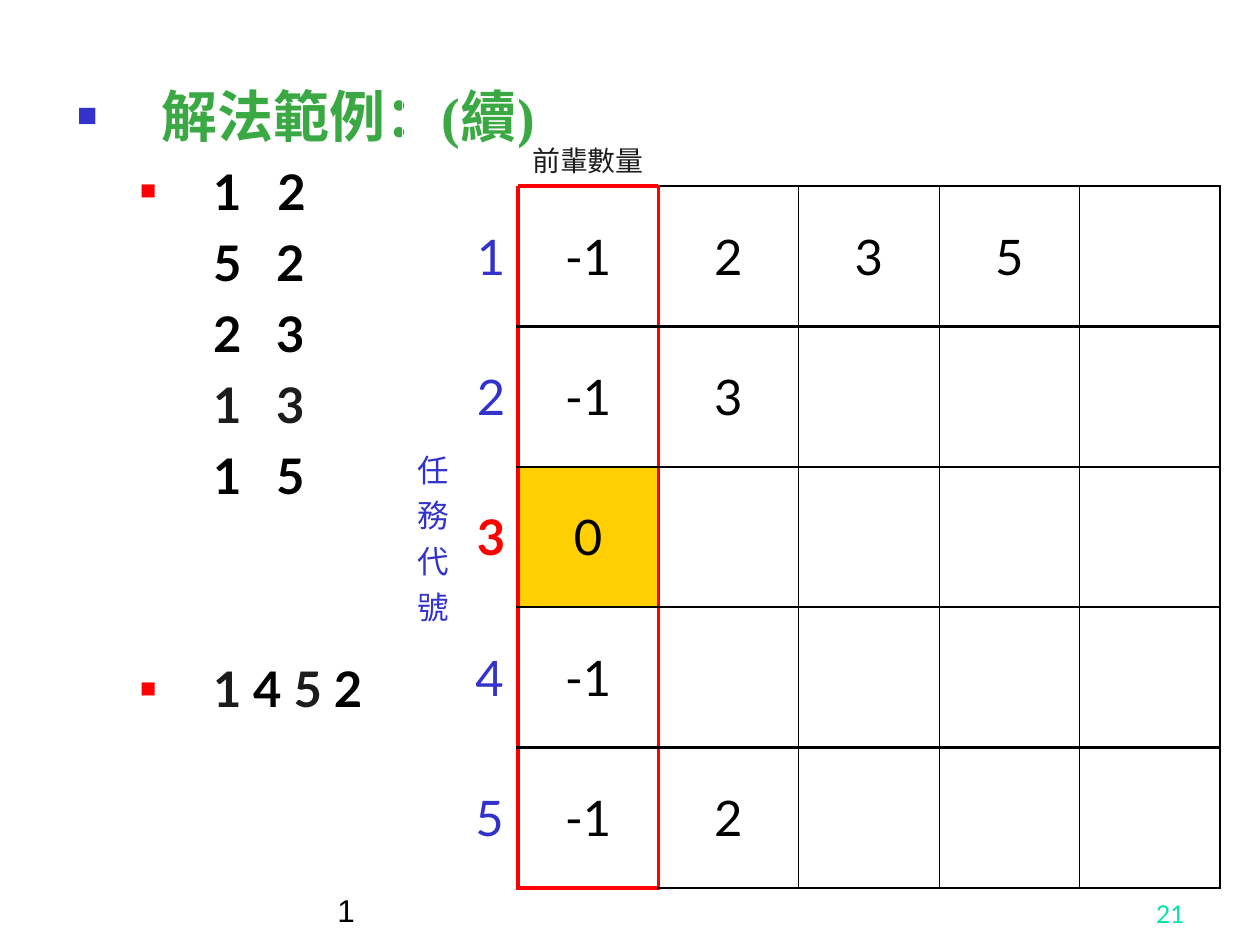
"""Build the slide that shows a task-ordering example with its predecessor table."""
from lxml import etree
from pptx import Presentation
from pptx.dml.color import RGBColor
from pptx.enum.text import MSO_ANCHOR, MSO_AUTO_SIZE, PP_ALIGN
from pptx.oxml.ns import qn
from pptx.util import Cm, Pt

LEFT, CENTER, RIGHT = PP_ALIGN.LEFT, PP_ALIGN.CENTER, PP_ALIGN.RIGHT
MIDDLE, BOTTOM = MSO_ANCHOR.MIDDLE, MSO_ANCHOR.BOTTOM
NO_AUTOSIZE = MSO_AUTO_SIZE.NONE

BLACK = RGBColor(0x00, 0x00, 0x00)
WHITE = RGBColor(0xFF, 0xFF, 0xFF)
DARK = RGBColor(0x1C, 0x1C, 0x1C)
RED = RGBColor(0xFF, 0x00, 0x00)
BLUE = RGBColor(0x33, 0x33, 0xCC)
GREEN = RGBColor(0x3B, 0xA9, 0x43)
GOLD = RGBColor(0xFF, 0xCF, 0x01)
MINT = RGBColor(0x00, 0xE4, 0xA8)

PAIRS = [("1\t2", BLACK), ("5\t2", BLACK), ("2\t3", BLACK), ("1\t3", DARK), ("1\t5", BLACK)]
ORDER = [("1", DARK), (" 4 ", BLACK), ("5 ", DARK), ("2", BLACK)]
TASKS = [["-1", "2", "3", "5"], ["-1", "3"], ["0"], ["-1"], ["-1", "2"]]
READY = 3
ROWS, COLS = 6, 7
CELL = Cm(2.83)


def add_text(p, text, size=28, font="Lato", color=BLACK, bold=False, align=None, before=None):
    """Append a formatted run to a paragraph."""
    r = p.add_run()
    r.text = text
    r.font.size, r.font.name, r.font.bold = Pt(size), font, bold
    r.font.color.rgb = color
    if align is not None:
        p.alignment = align
    if before is not None:
        p.space_before = Pt(before)


def format_list(p, margin, hang, bullet=None, percent=60, tab=None):
    """Set the indent, bullet and tab stop of a paragraph."""
    pPr = p._p.get_or_add_pPr()
    pPr.set("marL", str(margin))
    pPr.set("indent", str(-hang if bullet else 0))
    if bullet:
        color = etree.SubElement(pPr, qn("a:buClr"))
        etree.SubElement(color, qn("a:srgbClr"), val=str(bullet))
        etree.SubElement(pPr, qn("a:buSzPct"), val=str(percent * 1000))
        etree.SubElement(pPr, qn("a:buFont"), typeface="Arial")
        etree.SubElement(pPr, qn("a:buChar"), char="■")
    else:
        etree.SubElement(pPr, qn("a:buNone"))
    if tab:
        tabs = etree.SubElement(pPr, qn("a:tabLst"))
        etree.SubElement(tabs, qn("a:tab"), pos=str(tab), algn="l")


def fill_body(sp):
    """Write the heading, the task pairs and the resulting order."""
    sp.left, sp.top, sp.width, sp.height = Cm(1.3), Cm(1.52), Cm(22.8), Cm(16.2)
    tf = sp.text_frame
    tf.auto_size = NO_AUTOSIZE
    p = tf.paragraphs[0]
    format_list(p, Cm(1.7), Cm(1.7), BLUE)
    add_text(p, "解法範例：(續)", size=32, font="Times New Roman", color=GREEN, bold=True, before=0)
    for i, (pair, color) in enumerate(PAIRS):
        p = tf.add_paragraph()
        p.level = 1
        format_list(p, Cm(2.74), Cm(1.47), None if i else RED, 55, Cm(4.04))
        add_text(p, pair, color=color, bold=True, before=7)
    p = tf.add_paragraph()
    p.level = 1
    format_list(p, Cm(2.74), Cm(1.47), RED, 55)
    for text, color in ORDER:
        add_text(p, text, color=color, bold=True, before=88)


def vertical_edge(row, col):
    """Return colour and width of the line left of a column."""
    if row == 0 or col < 2:
        return WHITE, 0.34
    if col < 4:
        return (RED, 2.21) if col < 4 and col != 4 else (BLACK, 0.45)
    return BLACK, 1.08 if col == COLS else 0.45


def horizontal_edge(row, col):
    """Return colour and width of the line above a row."""
    if row == 0 or col < 2:
        return WHITE, 0.34
    if 1 < row < ROWS:
        return BLACK, 1.47
    return (RED, 2.21) if col == 2 else (BLACK, 1.08)


def set_borders(cell, row, col):
    """Draw the four borders of a cell."""
    tcPr = cell._tc.get_or_add_tcPr()
    edges = {
        "a:lnL": vertical_edge(row, col),
        "a:lnR": vertical_edge(row, col + 1),
        "a:lnT": horizontal_edge(row, col),
        "a:lnB": horizontal_edge(row + 1, col),
    }
    for i, (tag, (color, width)) in enumerate(edges.items()):
        ln = etree.Element(qn(tag), w=str(Pt(width)))
        fill = etree.SubElement(ln, qn("a:solidFill"))
        etree.SubElement(fill, qn("a:srgbClr"), val=str(color))
        tcPr.insert(i, ln)


def write_cell(cell, text, anchor=MIDDLE, **fmt):
    """Put one formatted line of text in a cell."""
    cell.vertical_anchor = anchor
    add_text(cell.text_frame.paragraphs[0], text, before=0, **fmt)


def add_task_table(slide):
    """Add the table of predecessor counts and successors."""
    widths = [Cm(1.19), Cm(1.14)] + [CELL] * 5
    table = slide.shapes.add_table(ROWS, COLS, Cm(8.11), Cm(0.92), sum(widths), CELL * ROWS).table
    table.first_row = table.horz_banding = False
    for column, width in zip(table.columns, widths):
        column.width = width
    for row in range(ROWS):
        table.rows[row].height = CELL
        for col in range(COLS):
            cell = table.cell(row, col)
            if row and col == 2:
                cell.fill.solid()
                cell.fill.fore_color.rgb = GOLD if row == READY else WHITE
            else:
                cell.fill.background()
            set_borders(cell, row, col)
    table.cell(0, 4).merge(table.cell(0, 6))
    table.cell(1, 0).merge(table.cell(5, 0))
    write_cell(table.cell(0, 2), "前輩數量", BOTTOM, size=16, color=DARK, align=CENTER)
    write_cell(table.cell(1, 0), "任務代號", size=18, color=BLUE, align=RIGHT)
    for task, values in enumerate(TASKS, 1):
        ready = task == READY
        write_cell(table.cell(task, 1), str(task), color=RED if ready else BLUE, bold=ready,
                   align=RIGHT if task < 4 else CENTER)
        for col, value in enumerate(values, 2):
            write_cell(table.cell(task, col), value, align=CENTER)


def add_footer(slide, text, left, width, **fmt):
    """Add a text box at the foot of the slide."""
    tf = slide.shapes.add_textbox(left, Cm(17.58), width, Cm(1.27)).text_frame
    tf.word_wrap = True
    tf.vertical_anchor = BOTTOM
    add_text(tf.paragraphs[0], text, **fmt)


def main():
    """Build and save the presentation."""
    prs = Presentation()
    prs.slide_width, prs.slide_height = Cm(25.4), Cm(19.05)
    slide = prs.slides.add_slide(prs.slide_layouts[1])
    title = slide.shapes.title._element
    title.getparent().remove(title)
    fill_body(slide.placeholders[1])
    add_task_table(slide)
    add_footer(slide, "1", Cm(6.55), Cm(13.77), size=18, font="Arial", align=LEFT)
    add_footer(slide, "21", Cm(18.85), Cm(5.28), size=14, color=MINT, align=RIGHT)
    prs.save("out.pptx")


if __name__ == "__main__":
    main()
